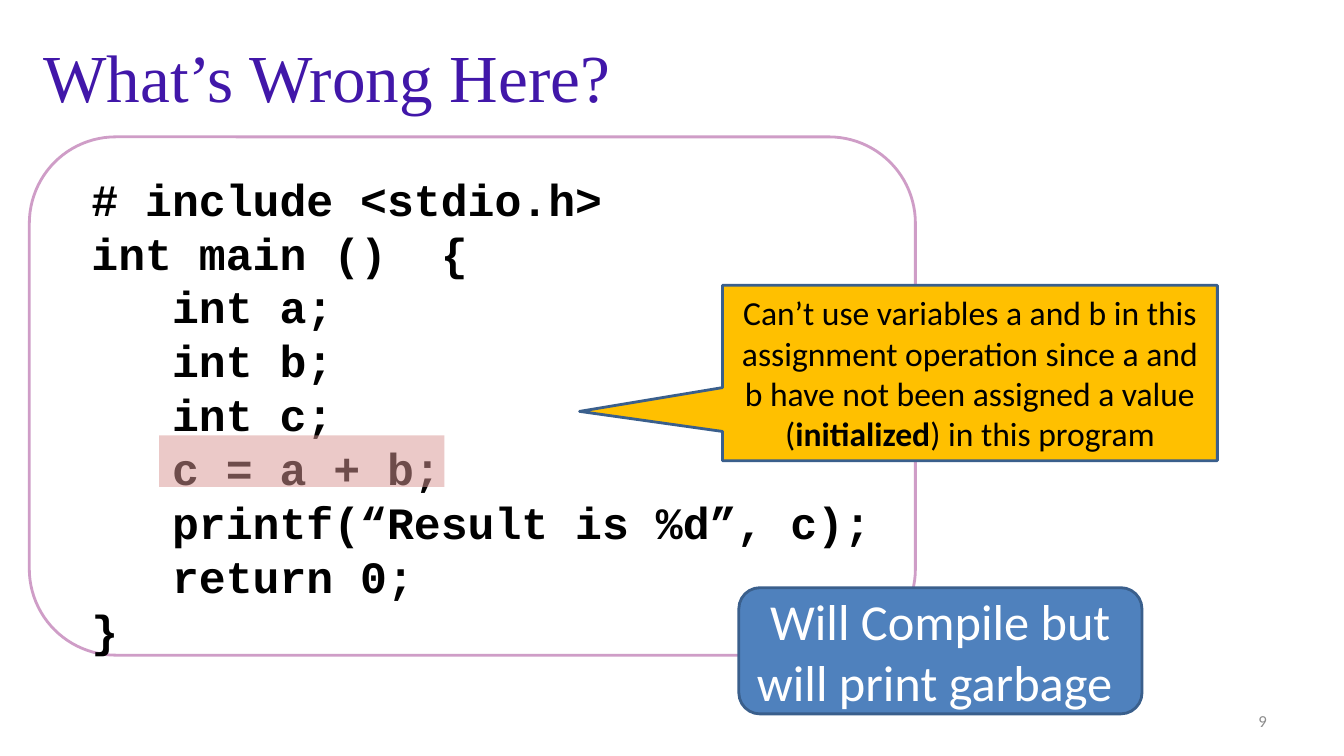
from dataclasses import dataclass
from typing import Optional

from lxml import etree
from pptx import Presentation
from pptx.dml.color import RGBColor
from pptx.enum.shapes import MSO_SHAPE
from pptx.enum.text import MSO_ANCHOR, PP_ALIGN
from pptx.oxml.ns import qn
from pptx.util import Cm, Pt

RECT, ROUND = MSO_SHAPE.RECTANGLE, MSO_SHAPE.ROUNDED_RECTANGLE
CALLOUT = MSO_SHAPE.RECTANGULAR_CALLOUT
TOP, MIDDLE = MSO_ANCHOR.TOP, MSO_ANCHOR.MIDDLE
LEFT, CENTER, RIGHT = PP_ALIGN.LEFT, PP_ALIGN.CENTER, PP_ALIGN.RIGHT

COLORS = {
    "white": "FFFFFF", "black": "000000", "title": "4117A9",
    "frame": "CF9DC7", "callout": "FFC000", "outline": "3A5F8C",
    "highlight": "D99694", "verdict": "4F81BD", "number": "8C8C8C",
}
TITLE_FONT = {"name": "Times New Roman", "size": Pt(48), "bold": False}
CODE_FONT = {"name": "Courier New", "size": Pt(32), "bold": True}
NOTE_FONT = {"name": "Calibri", "size": Pt(24)}
VERDICT_FONT = {"name": "Calibri", "size": Pt(36)}
NUMBER_FONT = {"name": "Calibri", "size": Pt(12)}

CODE = """\
 # include <stdio.h>
 int main ()  {
    int a;
    int b;
    int c;
    c = a + b;
    printf(“Result is %d”, c);
    return 0;
 }"""
NOTE = [
    ("Can’t use variables a and b in this assignment operation "
     "since a and b have not been assigned a value (", False),
    ("initialized", True),
    (") in this program", False),
]


@dataclass
class Box:
    kind: MSO_SHAPE
    at: tuple[float, float, float, float]
    fill: str
    line: Optional[str] = None
    opacity: int = 100
    adjustments: tuple[float, ...] = ()


FRAME = Box(ROUND, (0.74, 3.45, 22.33, 13.06), "white", "frame")
NOTE_BOX = Box(CALLOUT, (18.21, 7.19, 12.47, 4.42), "callout", "outline",
               adjustments=(-0.789, 0.219))
HIGHLIGHT = Box(RECT, (4.01, 10.97, 7.19, 1.3), "highlight", opacity=51)
VERDICT = Box(ROUND, (18.62, 14.81, 10.16, 3.18), "verdict", "outline")


def rgb(name: str) -> RGBColor:
    return RGBColor.from_string(COLORS[name])


def add_box(slide, box: Box):
    s = slide.shapes.add_shape(box.kind, *map(Cm, box.at))
    s.shadow.inherit = False
    s.fill.solid()
    s.fill.fore_color.rgb = rgb(box.fill)
    if box.opacity < 100:
        color = s.fill._xPr.find(".//" + qn("a:srgbClr"))
        etree.SubElement(color, qn("a:alpha"), val=str(box.opacity * 1000))
    if box.line:
        s.line.color.rgb = rgb(box.line)
        s.line.width = Pt(2)
    else:
        s.line.fill.background()
    for i, value in enumerate(box.adjustments):
        s.adjustments[i] = value
    return s


def format_font(font, values: dict, color: str) -> None:
    for name, value in values.items():
        setattr(font, name, value)
    font.color.rgb = rgb(color)


def write(s, runs: list[tuple[str, bool]], font: dict, color: str,
          align=CENTER) -> None:
    """Fill a shape with one paragraph of (text, bold) runs."""
    tf = s.text_frame
    tf.word_wrap = True
    tf.vertical_anchor = MIDDLE
    p = tf.paragraphs[0]
    p.alignment = align
    for text, bold in runs:
        r = p.add_run()
        r.text = text
        format_font(r.font, {**font, "bold": bold}, color)


def write_code(s, code: str) -> None:
    tf = s.text_frame
    tf.word_wrap = True
    tf.vertical_anchor = TOP
    tf.margin_top = Cm(0.23)
    for i, line in enumerate(code.splitlines()):
        p = tf.paragraphs[0] if i == 0 else tf.add_paragraph()
        p.alignment = LEFT
        p.line_spacing = Pt(38.5)
        r = p.add_run()
        r.text = line
        format_font(r.font, CODE_FONT, "black")


def add_title(slide, text: str) -> None:
    s = slide.shapes.title
    s.left, s.top, s.width, s.height = map(Cm, (0.84, 0.84, 30.48, 2.11))
    write(s, [(text, False)], TITLE_FONT, "title", LEFT)


def main() -> None:
    prs = Presentation()
    prs.slide_width, prs.slide_height = Cm(33.87), Cm(19.05)
    slide = prs.slides.add_slide(prs.slide_layouts[5])

    add_title(slide, "What’s Wrong Here?")
    write_code(add_box(slide, FRAME), CODE)
    write(add_box(slide, NOTE_BOX), NOTE, NOTE_FONT, "black")
    add_box(slide, HIGHLIGHT)
    write(add_box(slide, VERDICT),
          [("Will Compile but will print garbage ", False)],
          VERDICT_FONT, "white")
    number = slide.shapes.add_textbox(*map(Cm, (24.28, 17.65, 7.9, 1.02)))
    write(number, [("9", False)], NUMBER_FONT, "number", RIGHT)

    prs.save("out.pptx")


if __name__ == "__main__":
    main()
